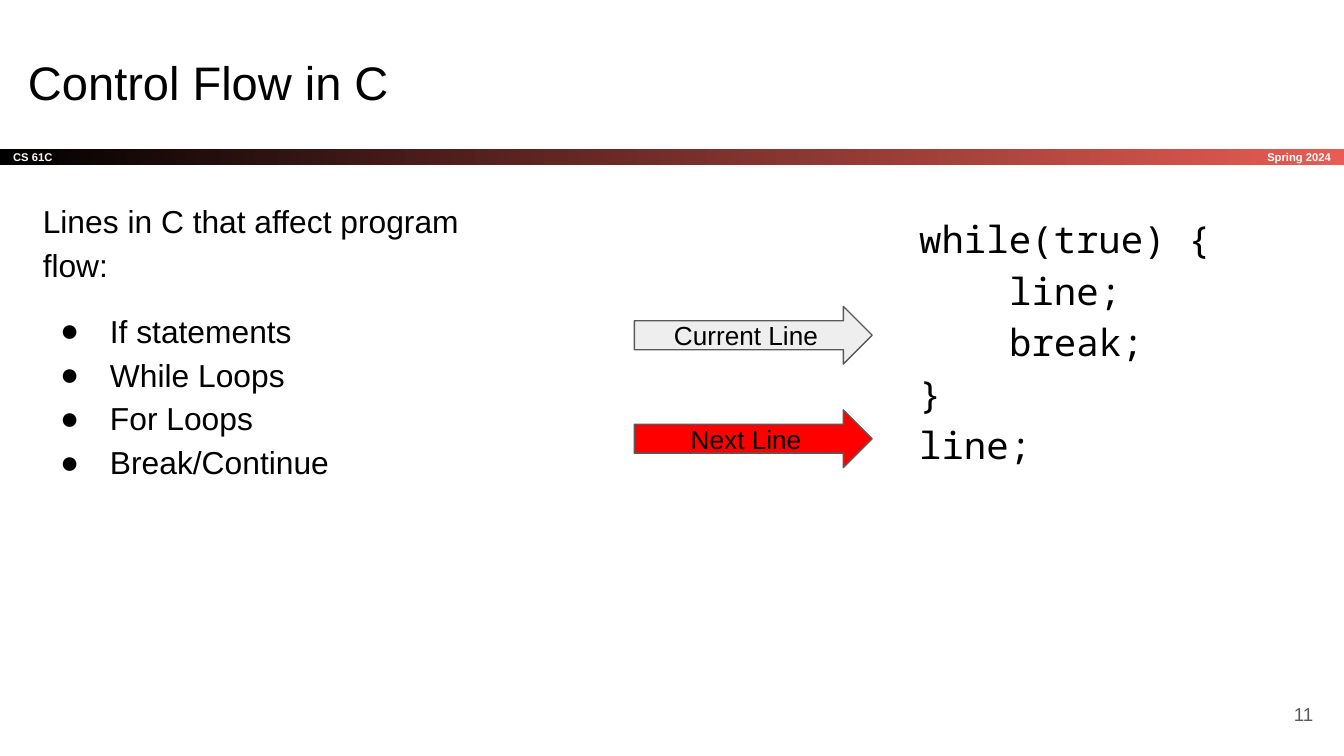
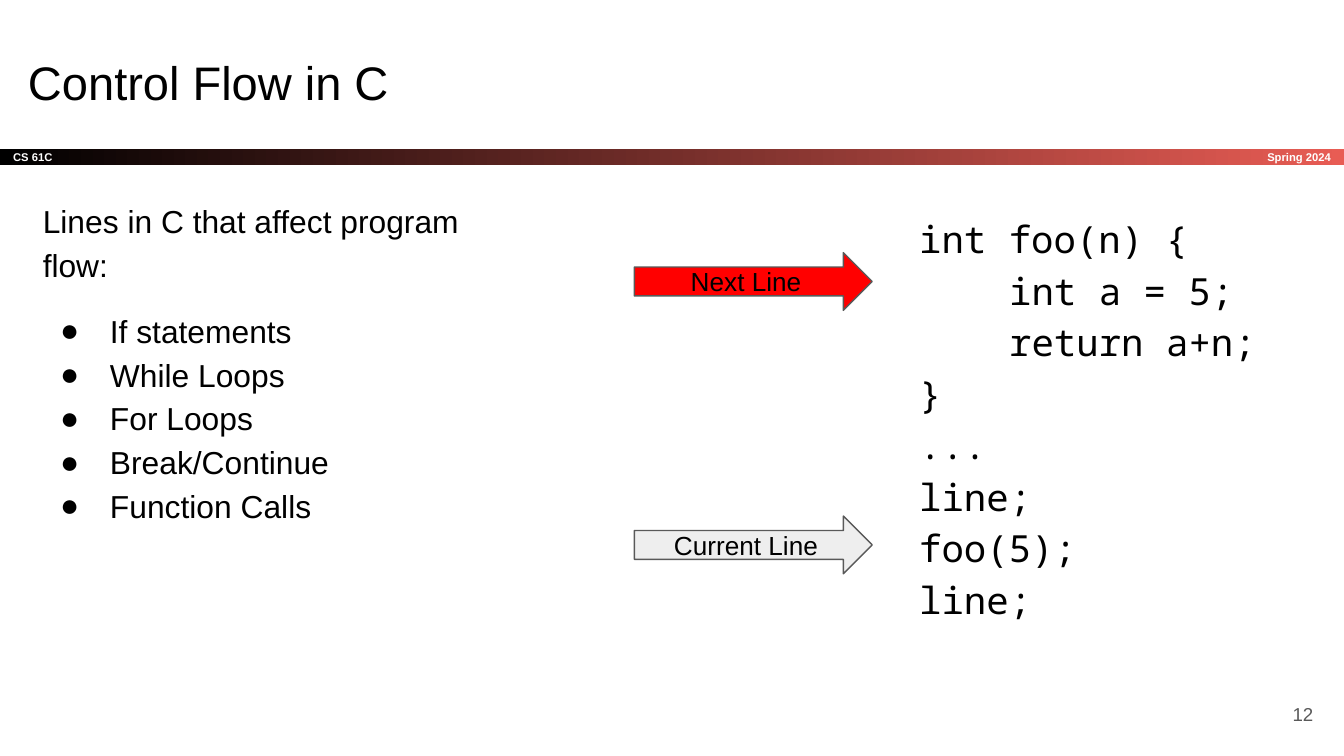
"""Build two slides on control flow in C, with arrows for the current and next line."""
from lxml import etree
from pptx import Presentation
from pptx import util as u
from pptx.dml.color import RGBColor
from pptx.enum import shapes, text
from pptx.oxml import ns

BLACK = RGBColor(0x00, 0x00, 0x00)
WHITE = RGBColor(0xFF, 0xFF, 0xFF)
CORAL = RGBColor(0xE8, 0x5C, 0x54)
GRAY = RGBColor(0x59, 0x59, 0x59)
LIGHT = RGBColor(0xEE, 0xEE, 0xEE)
RED = RGBColor(0xFF, 0x00, 0x00)
LEFT, CENTER, RIGHT = text.PP_ALIGN.LEFT, text.PP_ALIGN.CENTER, text.PP_ALIGN.RIGHT
TOP, MIDDLE = text.MSO_ANCHOR.TOP, text.MSO_ANCHOR.MIDDLE
CODE_INDENT = 0.67

SLIDES = [
    {
        "number": 11,
        "bullets": ["If statements", "While Loops", "For Loops", "Break/Continue"],
        "code": [(0, "while(true) {"), (1, "line;"), (1, "break;"), (0, "}"), (0, "line;")],
        "current": 2.28,
        "next": 3.05,
    },
    {
        "number": 12,
        "bullets": ["If statements", "While Loops", "For Loops", "Break/Continue",
                    "Function Calls"],
        "code": [(0, "int foo(n) {"), (1, "int a = 5;"), (1, "return a+n;"), (0, "}"),
                 (0, "..."), (0, "line;"), (0, "foo(5);"), (0, "line;")],
        "current": 3.84,
        "next": 1.88,
    },
]


def write(sp, lines, size, color=BLACK, font="Arial", align=LEFT, anchor=TOP,
          bold=False, spacing=None):
    """Write each line as a paragraph with one run and return the paragraphs."""
    tf = sp.text_frame
    tf.word_wrap = True
    tf.vertical_anchor = anchor
    tf.margin_left = tf.margin_right = tf.margin_top = tf.margin_bottom = u.Inches(0.1)
    for i, line in enumerate(lines):
        p = tf.add_paragraph() if i else tf.paragraphs[0]
        p.alignment = align
        p.line_spacing = spacing
        r = p.add_run()
        r.text = line
        r.font.size = u.Pt(size)
        r.font.name = font
        r.font.bold = bold
        r.font.color.rgb = color
    return tf.paragraphs


def indent(p, left, first=0):
    """Set the left margin and first-line indent, and return the properties."""
    ppr = p._p.get_or_add_pPr()
    ppr.set("marL", str(u.Inches(left)))
    ppr.set("indent", str(u.Inches(first)))
    return ppr


prs = Presentation()
prs.slide_width = u.Inches(10)
prs.slide_height = u.Inches(10) * 9 // 16

for data in SLIDES:
    s = prs.slides.add_slide(prs.slide_layouts[6])

    band = s.shapes.add_shape(shapes.MSO_SHAPE.RECTANGLE, u.Inches(0), u.Inches(1.11),
                              u.Inches(10), u.Inches(0.12))
    band.shadow.inherit = False
    band.line.fill.background()
    band.fill.gradient()
    band.fill.gradient_angle = 0
    for stop, color in zip(band.fill.gradient_stops, (BLACK, CORAL)):
        stop.color.rgb = color
    write(band, ["CS 61C"], 6, WHITE, anchor=MIDDLE, bold=True)

    term = s.shapes.add_textbox(u.Inches(8.34), u.Inches(1.11), u.Inches(1.66), u.Inches(0.12))
    write(term, ["Spring 2024"], 6, WHITE, align=RIGHT, anchor=MIDDLE, bold=True)

    title = s.shapes.add_textbox(u.Inches(0.11), u.Inches(0.3), u.Inches(9.32), u.Inches(0.63))
    write(title, ["Control Flow in C"], 25.2)

    body = s.shapes.add_textbox(u.Inches(0.22), u.Inches(1.36), u.Inches(3.46), u.Inches(3.96))
    lines = ["Lines in C that affect program flow:"] + data["bullets"]
    bullets = write(body, lines, 17, spacing=1.15)[1:]
    bullets[0].space_before = u.Pt(12)
    for p in bullets:
        ppr = indent(p, 0.5, -0.37)
        tint = etree.SubElement(ppr, ns.qn("a:buClr"))
        etree.SubElement(tint, ns.qn("a:srgbClr")).set("val", str(BLACK))
        etree.SubElement(ppr, ns.qn("a:buSzPct")).set("val", "100000")
        etree.SubElement(ppr, ns.qn("a:buFont")).set("typeface", "Arial")
        etree.SubElement(ppr, ns.qn("a:buChar")).set("char", "●")

    number = s.shapes.add_textbox(u.Inches(9.27), u.Inches(5.1), u.Inches(0.6), u.Inches(0.43))
    write(number, [str(data["number"])], 10, GRAY, align=RIGHT, anchor=MIDDLE)

    code = s.shapes.add_textbox(u.Inches(6.74), u.Inches(1.46), u.Inches(2.92), u.Inches(3.72))
    lines = [line for level, line in data["code"]]
    rows = write(code, lines, 20, font="Noto Sans Mono", spacing=1.15)
    for p, (level, line) in zip(rows, data["code"]):
        indent(p, level * CODE_INDENT)

    for label, top, color in (("Current Line", data["current"], LIGHT),
                              ("Next Line", data["next"], RED)):
        arrow = s.shapes.add_shape(shapes.MSO_SHAPE.RIGHT_ARROW, u.Inches(4.72), u.Inches(top),
                                   u.Inches(1.77), u.Inches(0.43))
        arrow.shadow.inherit = False
        arrow.fill.solid()
        arrow.fill.fore_color.rgb = color
        arrow.line.color.rgb = GRAY
        arrow.line.width = u.Pt(0.75)
        write(arrow, [label], 14, align=CENTER, anchor=MIDDLE)

prs.save("out.pptx")
